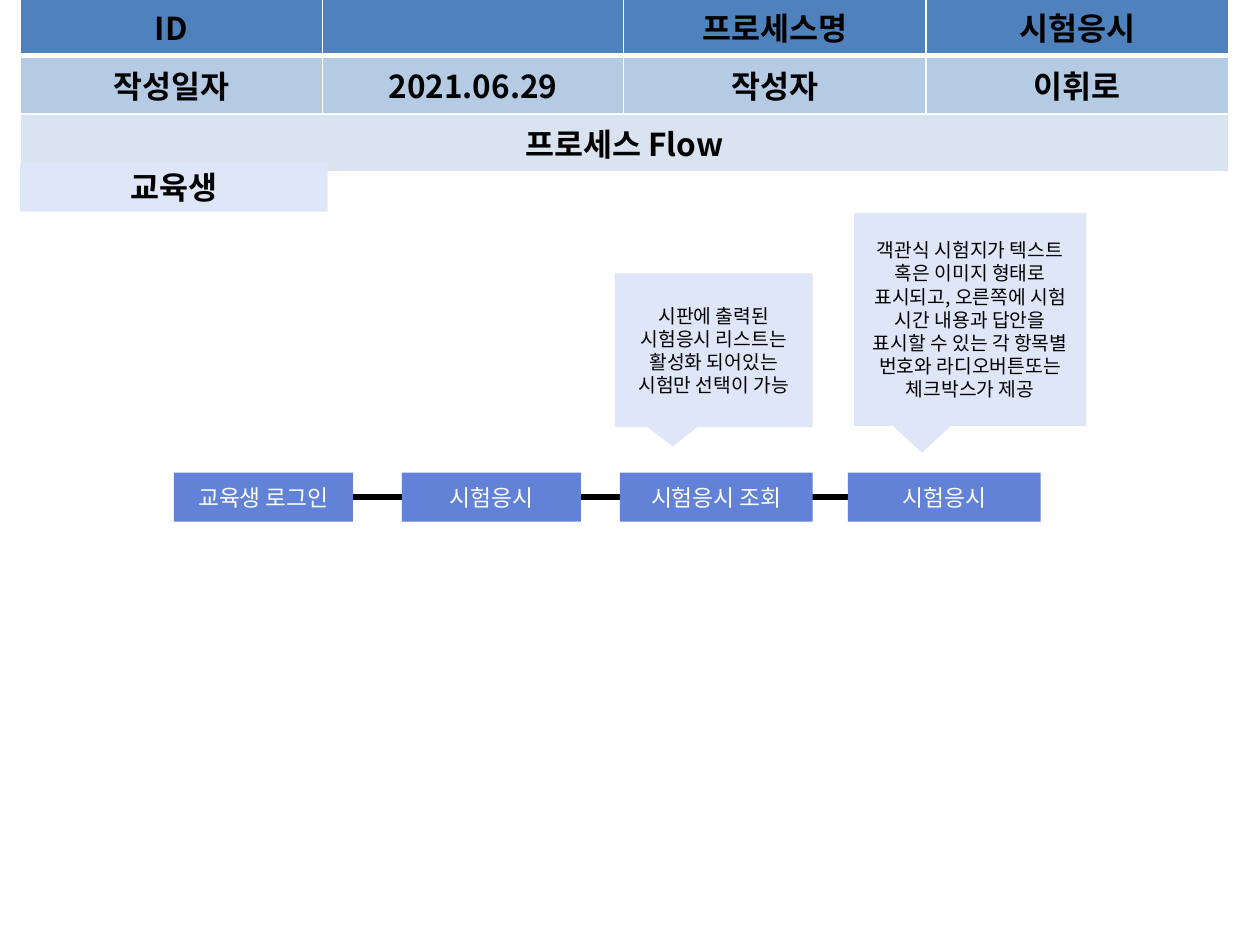
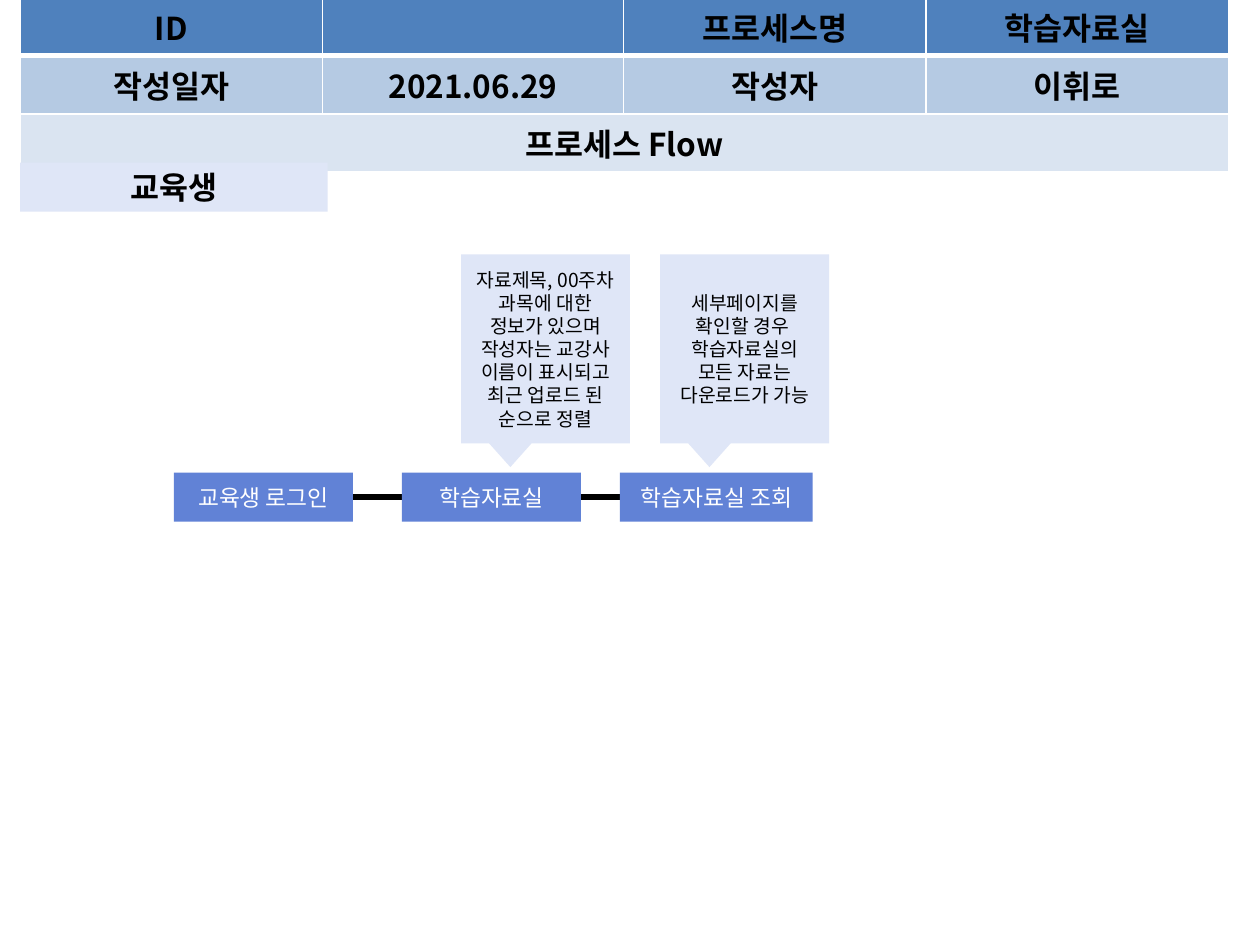
from dataclasses import dataclass

from lxml.etree import SubElement
from pptx import Presentation
from pptx.dml.color import RGBColor
from pptx.enum.shapes import MSO_CONNECTOR as Connector, MSO_SHAPE as Preset
from pptx.enum.text import MSO_ANCHOR as Anchor, MSO_AUTO_SIZE as AutoSize, PP_ALIGN as Align
from pptx.oxml.ns import qn
from pptx.util import Inches, Pt


@dataclass(frozen=True)
class Theme:
    """Colours, type sizes and line widths shared by all slides."""
    font: str = "Noto Sans CJK KR"
    black: str = "000000"
    white: str = "FFFFFF"
    header_rows: tuple = ("4F81BD", "B5CAE3", "DAE4F1")
    pale: str = "DFE6F7"
    step: str = "6182D6"
    heading_size: int = 18
    step_size: int = 13
    note_size: int = 11
    thin: int = 1
    thick: int = 3


@dataclass(frozen=True)
class Box:
    """A region in grid columns and rows: 100 columns by 75 rows."""
    left: float
    top: float
    width: float
    height: float

    @property
    def right(self):
        """Return the right edge in columns."""
        return self.left + self.width

    @property
    def middle(self):
        """Return the vertical centre in rows."""
        return self.top + self.height / 2

    def lengths(self):
        """Return left, top, width and height as slide lengths."""
        return [grid(value) for value in (self.left, self.top, self.width, self.height)]


THEME = Theme()
SLIDE_WIDTH, SLIDE_HEIGHT = Inches(10), Inches(7.5)
GRID_COLUMNS = 100
HEADER = Box(1.6, -0.2, 95.9, 12.2)
HEADER_COLUMNS = (10.2, 13.8, 23.9, 24, 24)
ROLE = Box(1.6, 12.9, 24.4, 3.9)
STEP_TOP, STEP_HEIGHT = 37.5, 3.9
STEP_COLUMNS = ((13.8, 14.2), (31.9, 14.2), (49.2, 15.3), (67.3, 15.3))
POINTER = (-0.208, 0.625)


def grid(value):
    """Turn grid units into a slide length."""
    return round(SLIDE_WIDTH * value / GRID_COLUMNS)


def colour(code):
    """Turn a hex code into a colour."""
    return RGBColor.from_string(code)


def write(frame, paragraphs, size, ink, bold=False):
    """Write centred paragraphs into a text frame."""
    for index, text in enumerate(paragraphs):
        paragraph = frame.add_paragraph() if index else frame.paragraphs[0]
        paragraph.alignment = Align.CENTER
        run = paragraph.add_run()
        run.text = text
        font = run.font
        font.name, font.size, font.bold = THEME.font, Pt(size), bold
        font.color.rgb = colour(ink)
        SubElement(font._element, qn("a:ea"), typeface=THEME.font)


def fill_panel(shape, fill, paragraphs, size, ink, bold=False):
    """Give a shape a flat fill and centred text."""
    shape.shadow.inherit = False
    shape.fill.solid()
    shape.fill.fore_color.rgb = colour(fill)
    shape.line.fill.background()
    frame = shape.text_frame
    frame.word_wrap = True
    frame.auto_size = AutoSize.NONE
    frame.vertical_anchor = Anchor.MIDDLE
    write(frame, paragraphs, size, ink, bold)


def border_cell(cell, bottom_width):
    """Draw white borders on all four sides of a cell."""
    properties = cell._tc.get_or_add_tcPr()
    for index, side in enumerate("LRTB"):
        width = bottom_width if side == "B" else THEME.thin
        line = SubElement(properties, qn(f"a:ln{side}"), w=str(Pt(width)))
        SubElement(SubElement(line, qn("a:solidFill")), qn("a:srgbClr"), val=THEME.white)
        properties.insert(index, line)


def add_header(slide, box, process):
    """Place the document table with its merged cells."""
    rows = (
        ("ID", "", "", "프로세스명", process),
        ("작성일자", "", "2021.06.29", "작성자", "이휘로"),
        ("프로세스 Flow", "", "", "", ""),
    )
    table = slide.shapes.add_table(len(rows), len(HEADER_COLUMNS), *box.lengths()).table
    table.first_row = table.horz_banding = False
    for column, width in zip(table.columns, HEADER_COLUMNS):
        column.width = grid(width)
    for row_index, texts in enumerate(rows):
        table.rows[row_index].height = grid(box.height / len(rows))
        for column_index, text in enumerate(texts):
            cell = table.cell(row_index, column_index)
            cell.fill.solid()
            cell.fill.fore_color.rgb = colour(THEME.header_rows[row_index])
            cell.vertical_anchor = Anchor.MIDDLE
            border_cell(cell, THEME.thin if row_index else THEME.thick)
            if text:
                write(cell.text_frame, [text], THEME.heading_size, THEME.black, bold=True)
    for row_index, last_column in enumerate((1, 1, 4)):
        table.cell(row_index, 0).merge(table.cell(row_index, last_column))


def add_role(slide, box, role):
    """Format the title as a role band in front of the table."""
    title = slide.shapes.title
    title.left, title.top, title.width, title.height = box.lengths()
    tree = title.element.getparent()
    tree.append(title.element)
    title.fill.solid()
    title.fill.fore_color.rgb = colour(THEME.pale)
    frame = title.text_frame
    frame.auto_size = AutoSize.NONE
    frame.vertical_anchor = Anchor.MIDDLE
    write(frame, [role], THEME.heading_size, THEME.black, bold=True)


def add_flow(slide, steps):
    """Place the process steps in a row on one connecting line."""
    boxes = [Box(left, STEP_TOP, width, STEP_HEIGHT) for left, width in STEP_COLUMNS[:len(steps)]]
    first, last = boxes[0], boxes[-1]
    line = slide.shapes.add_connector(
        Connector.STRAIGHT,
        grid(first.right), grid(first.middle), grid(last.left), grid(last.middle),
    )
    line.line.color.rgb = colour(THEME.black)
    line.line.width = Pt(THEME.thick)
    SubElement(line._element.spPr, qn("a:effectLst"))
    for box, step in zip(boxes, steps):
        shape = slide.shapes.add_shape(Preset.RECTANGLE, *box.lengths())
        fill_panel(shape, THEME.step, [step], THEME.step_size, THEME.white)


def add_note(slide, box, paragraphs):
    """Place a callout that points down to its step."""
    shape = slide.shapes.add_shape(Preset.RECTANGULAR_CALLOUT, *box.lengths())
    shape.adjustments[0], shape.adjustments[1] = POINTER
    fill_panel(shape, THEME.pale, paragraphs, THEME.note_size, THEME.black)


def add_process_slide(presentation, process, steps, notes):
    """Build one process slide from its name, steps and notes."""
    slide = presentation.slides.add_slide(presentation.slide_layouts.get_by_name("Title Only"))
    add_header(slide, HEADER, process)
    add_role(slide, ROLE, "교육생")
    add_flow(slide, steps)
    for box, paragraphs in notes:
        add_note(slide, box, paragraphs)


def main():
    """Build and save the presentation."""
    presentation = Presentation()
    presentation.slide_width, presentation.slide_height = SLIDE_WIDTH, SLIDE_HEIGHT
    add_process_slide(
        presentation, "시험응시",
        ("교육생 로그인", "시험응시", "시험응시 조회", "시험응시"),
        (
            (Box(48.8, 21.7, 15.7, 12.2),
             ["시판에 출력된 시험응시 리스트는 활성화 되어있는 시험만 선택이 가능"]),
            (Box(67.8, 16.9, 18.4, 16.9),
             ["객관식 시험지가 텍스트 혹은 이미지 형태로 표시되고, 오른쪽에 시험 시간 내용과 답안을 "
              "표시할 수 있는 각 항목별 번호와 라디오버튼또는 체크박스가 제공"]),
        ),
    )
    add_process_slide(
        presentation, "학습자료실",
        ("교육생 로그인", "학습자료실", "학습자료실 조회"),
        (
            (Box(36.6, 20.2, 13.4, 15),
             ["자료제목, 00주차 과목에 대한 정보가 있으며 작성자는 교강사 이름이 표시되고",
              "최근 업로드 된 순으로 정렬"]),
            (Box(52.4, 20.2, 13.4, 15),
             ["세부페이지를 확인할 경우 ", "학습자료실의 모든 자료는 다운로드가 가능"]),
        ),
    )
    presentation.save("out.pptx")


main()
